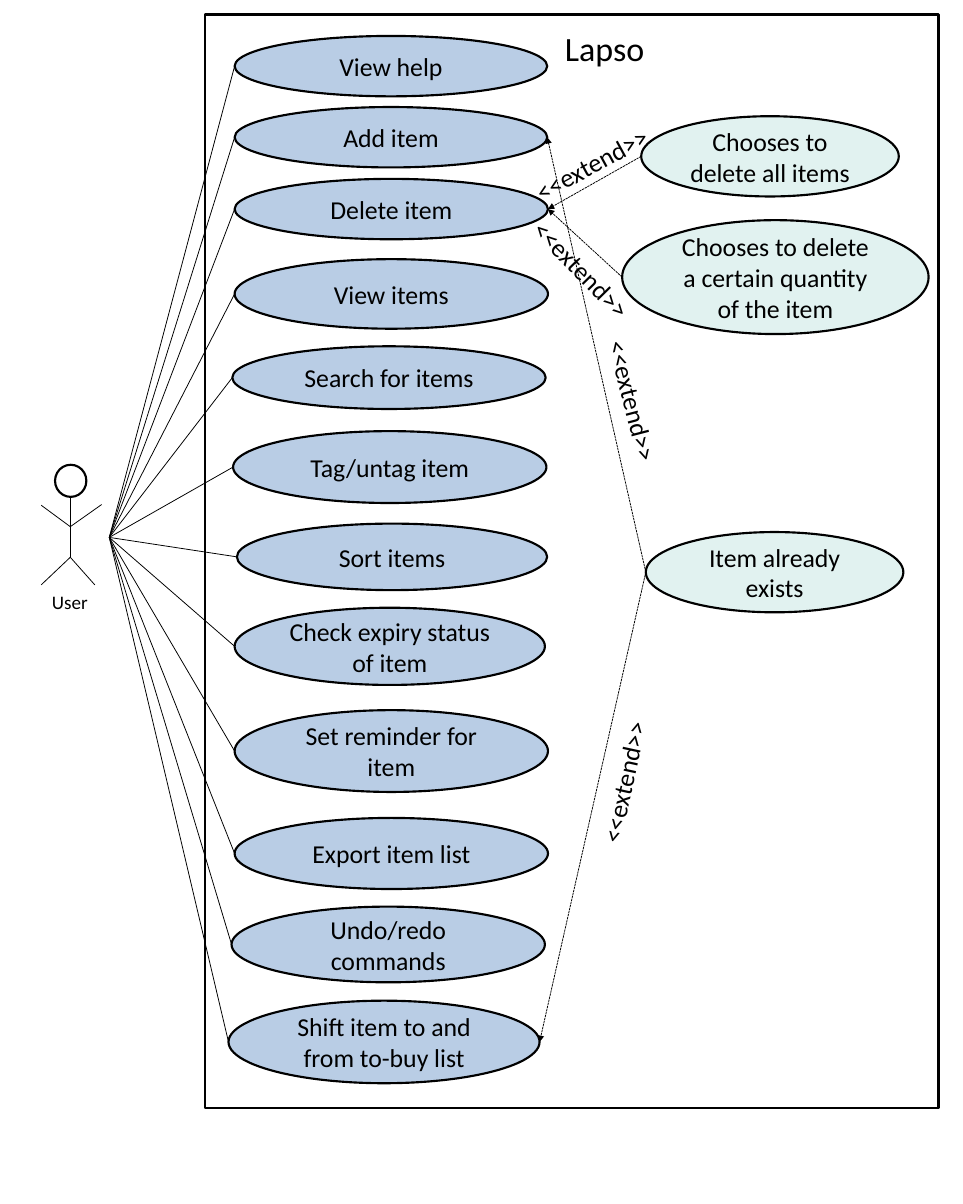
from pptx import Presentation
from pptx.dml.color import RGBColor
from pptx.enum.dml import MSO_LINE
from pptx.enum.shapes import MSO_CONNECTOR, MSO_SHAPE
from pptx.enum.text import MSO_ANCHOR, MSO_AUTO_SIZE, PP_ALIGN
from pptx.oxml.ns import qn
from pptx.util import Inches, Pt

STRAIGHT = MSO_CONNECTOR.STRAIGHT
OVAL, RECTANGLE = MSO_SHAPE.OVAL, MSO_SHAPE.RECTANGLE
SYSTEM_DASH = MSO_LINE.SQUARE_DOT
MIDDLE, CENTER = MSO_ANCHOR.MIDDLE, PP_ALIGN.CENTER
GROW = MSO_AUTO_SIZE.SHAPE_TO_FIT_TEXT

# The slide is a grid of square cells, a tenth of an inch wide
COLUMNS, ROWS = 126, 157.5
BLACK, BLUE, MINT = "000000", "B9CDE5", "E1F2F0"
FONT, BODY_SIZE = "Calibri", 24.3
HUB = (14.3, 70.3)

# Text, left, top, width, height
USE_CASES = [
    ("View help", 30.7, 4.7, 40.9, 7.9),
    ("Add item", 30.7, 14, 40.9, 7.9),
    ("Delete item", 30.7, 23.4, 41, 7.9),
    ("View items", 30.7, 33.9, 41, 9.1),
    ("Search for items", 30.4, 45.3, 41, 8.2),
    ("Tag/untag item", 30.5, 56.4, 41, 9.4),
    ("Sort items", 31, 68.5, 40.6, 8.7),
    ("Check expiry status of item", 30.7, 79.5, 40.6, 10.1),
    ("Set reminder for item", 30.7, 92.9, 41, 10.7),
    ("Export item list", 30.7, 107, 41, 9.3),
    ("Undo/redo commands", 30.3, 118.6, 41, 9.9),
    ("Shift item to and from to-buy list", 29.9, 130.9, 40.7, 10.8),
]
EXTENSIONS = [
    ("Chooses to delete all items", 83.9, 15.2, 33.7, 10.5),
    ("Chooses to delete a certain quantity of the item", 81.4, 28.8, 40.1, 14.9),
    ("Item already exists", 84.5, 69.6, 33.7, 10.5),
]
# Extension, extended use case, left and top of the label, its rotation
EXTENDS = [
    ("Chooses to delete all items", "Delete item", 65.7, 18.9, 331.4),
    ("Chooses to delete a certain quantity of the item", "Delete item",
     64.4, 32.7, 45.5),
    ("Item already exists", "Add item", 71.1, 49.9, 75.4),
    ("Item already exists", "Shift item to and from to-buy list",
     69.9, 99.8, 282.3),
]
LIMBS = [
    ((9.2, 65), (9.2, 72.9)),
    ((9.2, 72.9), (5.4, 76.5)),
    ((9.2, 72.9), (12.4, 76.5)),
    ((13.3, 66), (9.2, 68.9)),
    ((5.4, 66.1), (9.2, 68.9)),
]


def cells(*counts):
    return [Inches(count / 10) for count in counts]


def color(hex_string):
    return RGBColor.from_string(hex_string)


def write(shape, text, size):
    frame = shape.text_frame
    frame.word_wrap = True
    frame.text = text
    para = frame.paragraphs[0]
    para.alignment = CENTER
    font = para.runs[0].font
    font.name, font.size = FONT, Pt(size)
    font.color.rgb = color(BLACK)


def add_outline(shapes, kind, place, fill=None):
    shape = shapes.add_shape(kind, *cells(*place))
    shape.shadow.inherit = False
    if fill:
        shape.fill.solid()
        shape.fill.fore_color.rgb = color(fill)
    else:
        shape.fill.background()
    shape.line.color.rgb = color(BLACK)
    shape.line.width = Pt(2)
    return shape


def add_bubble(shapes, text, place, fill):
    bubble = add_outline(shapes, OVAL, place, fill)
    write(bubble, text, BODY_SIZE)
    bubble.text_frame.vertical_anchor = MIDDLE


def add_label(shapes, text, place, size, rotation=0):
    box = shapes.add_textbox(*cells(*place))
    write(box, text, size)
    box.text_frame.auto_size = GROW
    box.rotation = rotation


def add_line(shapes, start, end, arrow=False):
    connector = shapes.add_connector(STRAIGHT, *cells(*start, *end))
    connector.line.color.rgb = color(BLACK)
    connector.line.width = Pt(0.75)
    properties = connector._element.spPr
    if arrow:
        connector.line.dash_style = SYSTEM_DASH
        outline = properties.find(qn("a:ln"))
        head = outline.makeelement(qn("a:tailEnd"), {"type": "triangle"})
        outline.append(head)
    properties.append(properties.makeelement(qn("a:effectLst"), {}))


def left_end(place):
    left, top, _, height = place
    return left, top + height / 2


def right_end(place):
    left, top, width, height = place
    return left + width, top + height / 2


def add_actor(page):
    shapes = page.shapes.add_group_shape().shapes
    add_outline(shapes, OVAL, (7.2, 60.8, 4.1, 4.2))
    for start, end in LIMBS:
        add_line(shapes, start, end)
    add_label(shapes, "User", (1.3, 76.8, 15.7, 4), 18)


def main():
    deck = Presentation()
    deck.slide_width, deck.slide_height = cells(COLUMNS, ROWS)
    page = deck.slides.add_slide(deck.slide_layouts[6])
    shapes = page.shapes

    # Actor and system boundary
    add_actor(page)
    add_outline(shapes, RECTANGLE, (26.8, 1.9, 96, 143))
    add_label(shapes, "Lapso", (67.7, 3.1, 22.8, 6.4), 32)

    # Use cases and extensions
    places = {}
    for group, fill in ((USE_CASES, BLUE), (EXTENSIONS, MINT)):
        for text, *place in group:
            places[text] = place
            add_bubble(shapes, text, place, fill)

    # Actor's links to every use case
    for text, *place in USE_CASES:
        add_line(shapes, left_end(place), HUB)

    # Extend arrows with their labels
    for extension, use_case, left, top, rotation in EXTENDS:
        add_line(shapes, left_end(places[extension]),
                 right_end(places[use_case]), arrow=True)
        add_label(shapes, "<<extend>>", (left, top, 23.4, 5.1),
                  BODY_SIZE, rotation)

    deck.save("out.pptx")


main()
